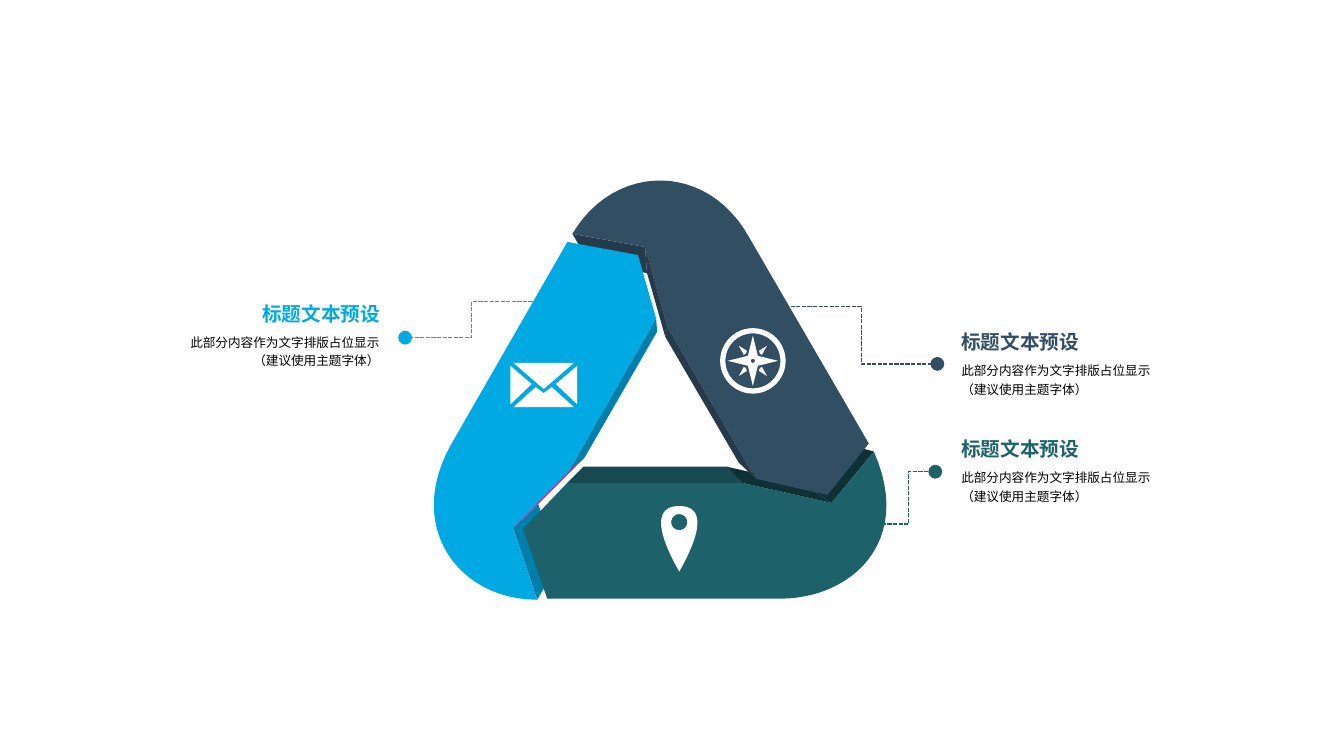
from copy import deepcopy
from dataclasses import dataclass
from itertools import product
from math import cos, pi, sin

from lxml.etree import SubElement
from pptx import Presentation
from pptx.dml.color import RGBColor
from pptx.enum.dml import MSO_LINE
from pptx.enum.shapes import MSO_CONNECTOR, MSO_SHAPE
from pptx.enum.text import MSO_ANCHOR, PP_ALIGN
from pptx.oxml.ns import qn
from pptx.shapes.autoshape import Shape
from pptx.slide import Slide
from pptx.util import Cm, Length, Pt

FONT = "Noto Sans CJK SC"
TITLE = "标题文本预设"
BODY = "此部分内容作为文字排版占位显示\n（建议使用主题字体）"

WHITE = RGBColor(0xFF, 0xFF, 0xFF)
BLACK = RGBColor(0x00, 0x00, 0x00)
BLUE = RGBColor(0x00, 0xA9, 0xE2)
BLUE_SIDE = RGBColor(0x00, 0x7F, 0xAA)
NAVY = RGBColor(0x32, 0x4E, 0x63)
NAVY_SIDE = RGBColor(0x25, 0x3A, 0x4A)
TEAL = RGBColor(0x1D, 0x62, 0x6A)
TEAL_SIDE = RGBColor(0x16, 0x4A, 0x50)
TEAL_SHADE = RGBColor(0x0E, 0x31, 0x35)
MAGENTA = RGBColor(0xB6, 0x19, 0xBF)

STEPS = 24
COMPASS = (747, 358)
ENVELOPE = (539.5, 382)
PIN = (674, 518)

Point = tuple[float, float]


@dataclass(frozen=True)
class Arm:
    """One band of the triangle: a round end, then corners; the rim is its thickness."""
    color: RGBColor
    round_end: list[Point]
    corners: list[Point]
    rim: list[Point]
    rim_colors: list[RGBColor]


@dataclass(frozen=True)
class Callout:
    color: RGBColor
    start: Point
    dot: Point
    title_left: float
    body_left: float
    top: float
    align: PP_ALIGN


ARMS = [
    Arm(TEAL, [(867, 448), (907, 538), (844, 594), (774, 594)],
        [(543, 594), (519, 525), (563, 479), (736, 479), (825, 499)],
        [(579, 463), (721, 463), (795, 480), (830, 438)],
        [TEAL_SIDE, TEAL_SHADE, TEAL_SHADE]),
    Arm(BLUE, [(533, 595), (455, 595), (402, 523), (447, 442)],
        [(563, 240), (633, 253), (651, 316), (564, 468), (509, 524)],
        [(652, 329), (580, 454), (534, 500), (554, 559)],
        [BLUE_SIDE, MAGENTA, BLUE_SIDE]),
    Arm(NAVY, [(568, 232), (610, 161), (702, 161), (743, 235)],
        [(862, 440), (821, 491), (750, 475), (662, 324), (640, 245)],
        [(733, 459), (660, 334), (642, 271), (583, 258)],
        [NAVY_SIDE] * 3),
]

CALLOUTS = [
    Callout(NAVY, (779, 304), (930, 361), 938, 938, 327, PP_ALIGN.LEFT),
    Callout(TEAL, (875, 520), (928, 468), 938, 938, 433, PP_ALIGN.LEFT),
    Callout(BLUE, (534, 299), (402, 335), 243, 160, 299, PP_ALIGN.RIGHT),
]


def grid(value: float) -> Length:
    """Length of a number of grid units, 100 of which make 2.54 cm."""
    return Cm(value * 0.0254)


def curve(controls: list[Point]) -> list[Point]:
    """Points along a cubic curve."""
    points = []
    for index in range(STEPS + 1):
        t = index / STEPS
        weights = ((1 - t) ** 3, 3 * t * (1 - t) ** 2, 3 * t * t * (1 - t), t ** 3)
        points.append(tuple(sum(weight * control[axis]
                                for weight, control in zip(weights, controls))
                            for axis in (0, 1)))
    return points


def circle(center: Point, radius: float) -> list[Point]:
    angles = [2 * pi * index / STEPS for index in range(STEPS)]
    return around(center, [(radius * cos(angle), radius * sin(angle)) for angle in angles])


def around(center: Point, offsets: list[Point]) -> list[Point]:
    return [(center[0] + dx, center[1] + dy) for dx, dy in offsets]


def paint(shape: Shape, color: RGBColor) -> None:
    shape.shadow.inherit = False
    shape.fill.solid()
    shape.fill.fore_color.rgb = color
    shape.line.fill.background()


def draw_panel(page: Slide, color: RGBColor, *contours: list[Point]) -> None:
    """Draw an outline; any further contours are holes in it."""
    builder = None
    for contour in contours:
        first, *rest = [(grid(x), grid(y)) for x, y in contour]
        if builder is None:
            builder = page.shapes.build_freeform(*first, scale=1.0)
        else:
            builder.move_to(*first)
        builder.add_line_segments(rest, close=True)
    paint(builder.convert_to_shape(), color)


def draw_facet(page: Slide, arm: Arm, index: int) -> None:
    edge = [*arm.corners[2:], arm.round_end[0]]
    end = index + 1
    draw_panel(page, arm.rim_colors[index],
               [edge[index], arm.rim[index], arm.rim[end], edge[end]])


def draw_triangle(page: Slide) -> None:
    for arm in ARMS:
        draw_facet(page, arm, 2)
    for arm in ARMS:
        draw_panel(page, arm.color, curve(arm.round_end) + arm.corners)
        for index in (0, 1):
            draw_facet(page, arm, index)


def draw_pin(page: Slide) -> None:
    left = curve([(0, 49), (-24, 7), (-24, -16), (0, -16)])
    right = [(-dx, dy) for dx, dy in reversed(left)]
    draw_panel(page, WHITE, around(PIN, left + right[1:-1]), circle(PIN, 8))


def draw_envelope(page: Slide) -> None:
    parts = [[(side * 33, -19), (side * 12, -1), (side * 33, 19)] for side in (-1, 1)]
    parts.append([(-30, -22), (30, -22), (0, 4)])
    parts.append([(-30, 22), (-8, 2), (0, 8), (8, 2), (30, 22)])
    for part in parts:
        draw_panel(page, WHITE, around(ENVELOPE, part))


def draw_compass(page: Slide) -> None:
    size = 65
    left, top = (value - size / 2 for value in COMPASS)
    ring = page.shapes.add_shape(MSO_SHAPE.DONUT, *map(grid, (left, top, size, size)))
    ring.adjustments[0] = 0.08
    paint(ring, WHITE)
    ray = [(9, 6), (14, 15), (6, 10), (7, 7)]
    for side, end in product((-1, 1), repeat=2):
        draw_panel(page, WHITE, around(COMPASS, [(side * dx, end * dy) for dx, dy in ray]))
    spokes = [(25 if index % 2 == 0 else 7, index * pi / 4) for index in range(8)]
    star = [(reach * cos(angle), reach * sin(angle)) for reach, angle in spokes]
    draw_panel(page, WHITE, around(COMPASS, star), circle(COMPASS, 2))


def draw_leader(page: Slide, callout: Callout) -> None:
    leader = page.shapes.add_connector(
        MSO_CONNECTOR.ELBOW, *map(grid, callout.start), *map(grid, callout.dot))
    leader.line.color.rgb = callout.color
    leader.line.width = Pt(1)
    leader.line.dash_style = MSO_LINE.SQUARE_DOT
    outline = leader._element.spPr.find(qn("a:ln"))
    SubElement(outline, qn("a:tailEnd"), type="oval", w="lg", len="lg")
    SubElement(leader._element.spPr, qn("a:effectLst"))


def draw_text(page: Slide, text: str, bounds: tuple[float, ...], size: int,
              color: RGBColor, align: PP_ALIGN, is_title: bool) -> None:
    box = page.shapes.add_textbox(*map(grid, bounds))
    frame = box.text_frame
    frame.word_wrap = not is_title
    frame.vertical_anchor = MSO_ANCHOR.MIDDLE
    frame.margin_left = frame.margin_right = Cm(0.4)
    frame.margin_top = frame.margin_bottom = Cm(0)
    para = frame.paragraphs[0]
    para.text = text
    para.alignment = align
    para.line_spacing = 1.0 if is_title else 1.2
    for span in para.runs:
        span.font.size = Pt(size)
        span.font.bold = is_title
        span.font.color.rgb = color
        span.font.name = FONT
        SubElement(span._r.rPr, qn("a:ea"), typeface=FONT)
    for line_break in para._p.findall(qn("a:br")):
        line_break.append(deepcopy(para.runs[0]._r.rPr))


def main() -> None:
    deck = Presentation()
    deck.slide_width, deck.slide_height = Cm(33.87), Cm(19.05)
    page = deck.slides.add_slide(deck.slide_layouts[6])
    for draw in (draw_triangle, draw_pin, draw_envelope, draw_compass):
        draw(page)
    for callout in CALLOUTS:
        draw_leader(page, callout)
        draw_text(page, TITLE, (callout.title_left, callout.top, 150, 24),
                  14, callout.color, callout.align, True)
        draw_text(page, BODY, (callout.body_left, callout.top + 26, 232, 45),
                  9, BLACK, callout.align, False)
    deck.save("out.pptx")


if __name__ == "__main__":
    main()
